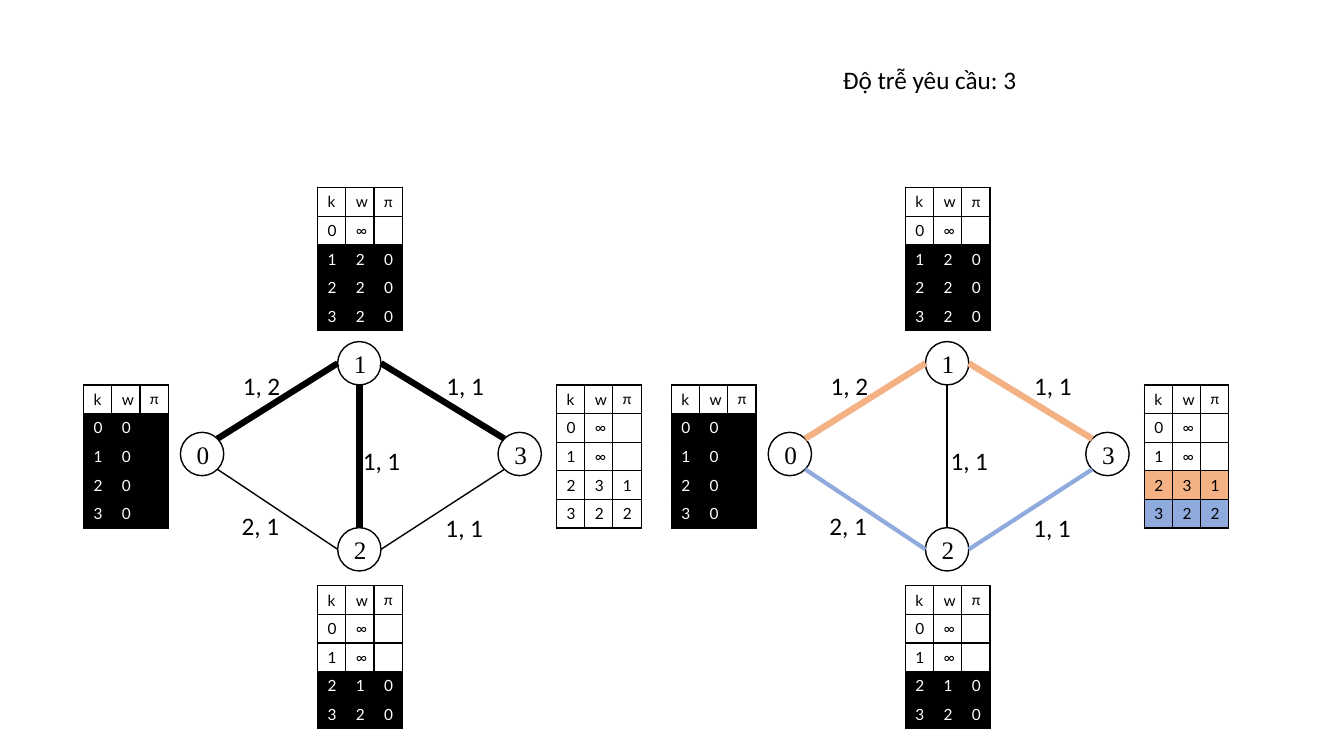
"""Draw two routing graphs with a delay table beside each node."""
import math

import lxml.etree
import pptx
import pptx.dml.color
import pptx.enum.shapes
import pptx.enum.text
import pptx.oxml.ns
import pptx.util

COL, ROW = 0.28, 0.284
SHIFT = 20.82
NODE = 0.43
BLACK, WHITE, PEACH, BLUE = "000000", "FFFFFF", "F4B183", "8FAADC"
NODES = [(7.16, 15.86), (12.73, 12.69), (12.73, 19.19), (18.41, 15.86)]
EDGES = [(0, -45, 1, 180), (0, 45, 2, 180), (1, 0, 3, 225),
         (2, 0, 3, 135), (1, 90, 2, 270)]
LABELS = [("1, 2", 8.25, 12.75), ("1, 1", 12.5, 15.39), ("1, 1", 15.43, 17.71),
          ("2, 1", 8.21, 17.64), ("1, 1", 15.46, 12.75)]
TABLES = [
    (2.96, 13.45, ["00 ", "10 ", "20 ", "30 "], [BLACK] * 4),
    (11.25, 6.55, ["0∞ ", "120", "220", "320"], [None] + [BLACK] * 3),
    (11.25, 20.46, ["0∞ ", "1∞ ", "210", "320"], [None] * 2 + [BLACK] * 2),
    (19.71, 13.45, ["0∞ ", "1∞ ", "231", "322"], None),
]


def tint(code):
    """Turn a hex string into a colour."""
    return pptx.dml.color.RGBColor.from_string(code)


def place(col, row):
    """Turn a grid point into slide lengths."""
    return pptx.util.Inches(col * COL), pptx.util.Inches(row * ROW)


def style(para, size, face, code=BLACK):
    """Set the font of a paragraph."""
    font = para.font
    font.size, font.name = pptx.util.Pt(size), face
    font.color.rgb = tint(code)


def write(frame, text):
    """Put an unwrapped line of text in a frame."""
    frame.text = text
    frame.word_wrap = False
    frame.auto_size = pptx.enum.text.MSO_AUTO_SIZE.SHAPE_TO_FIT_TEXT
    frame.vertical_anchor = pptx.enum.text.MSO_ANCHOR.TOP
    frame.paragraphs[0].alignment = pptx.enum.text.PP_ALIGN.LEFT
    style(frame.paragraphs[0], 18, "Calibri")


def head(slide, text):
    """Fill and move the title."""
    title = slide.shapes.title
    title.left, title.top = place(29.5, 2.08)
    title.width, title.height = place(6.93, 1.41)
    write(title.text_frame, text)


def label(slide, text, col, row):
    """Add the label of an edge."""
    box = slide.shapes.add_textbox(*place(col, row), *place(2.07, 1.41))
    write(box.text_frame, text)


def node(slide, text, col, row):
    """Add a round node about its centre."""
    size = pptx.util.Inches(NODE)
    x, y = place(col, row)
    ring = slide.shapes.add_shape(pptx.enum.shapes.MSO_SHAPE.OVAL,
                                  x - size // 2, y - size // 2, size, size)
    ring.shadow.inherit = False
    ring.fill.solid()
    ring.fill.fore_color.rgb = tint(WHITE)
    ring.line.color.rgb = tint(BLACK)
    ring.line.width = pptx.util.Pt(1)
    frame = ring.text_frame
    frame.text = text
    frame.vertical_anchor = pptx.enum.text.MSO_ANCHOR.MIDDLE
    frame.paragraphs[0].alignment = pptx.enum.text.PP_ALIGN.CENTER
    style(frame.paragraphs[0], 18, "Times New Roman")


def rim(spot, angle, shift):
    """Find the point of a node's rim at an angle."""
    turn = math.radians(angle)
    col, row = spot
    return place(col + shift + NODE / 2 * math.cos(turn) / COL,
                 row + NODE / 2 * math.sin(turn) / ROW)


def edge(slide, start, end, code, width):
    """Add a straight edge."""
    line = slide.shapes.add_connector(
        pptx.enum.shapes.MSO_CONNECTOR.STRAIGHT, *start, *end)
    line.line.color.rgb = tint(code)
    line.line.width = pptx.util.Pt(width)
    lxml.etree.SubElement(line._element.spPr, pptx.oxml.ns.qn("a:effectLst"))


def frame(cell):
    """Draw thin black borders round a cell."""
    props = cell._tc.get_or_add_tcPr()
    for side in ("lnL", "lnR", "lnT", "lnB"):
        line = lxml.etree.SubElement(props, pptx.oxml.ns.qn("a:" + side), w="12700")
        fill = lxml.etree.SubElement(line, pptx.oxml.ns.qn("a:solidFill"))
        lxml.etree.SubElement(fill, pptx.oxml.ns.qn("a:srgbClr"), val=BLACK)


def paint(cell, mark, code):
    """Fill a cell and write its mark."""
    frame(cell)
    if code:
        cell.fill.solid()
        cell.fill.fore_color.rgb = tint(code)
    else:
        cell.fill.background()
    cell.text = mark.strip()
    para = cell.text_frame.paragraphs[0]
    style(para, 11, "Calibri" if mark == "π" else "Lato",
          WHITE if code == BLACK else BLACK)
    if not cell.text:
        lxml.etree.SubElement(para._p, pptx.oxml.ns.qn("a:endParaRPr"), sz="1100")


def grid(slide, col, row, lines, fills):
    """Add the delay table of a node."""
    lines, fills = ["kwπ"] + lines, [None] + fills
    table = slide.shapes.add_table(len(lines), 3, *place(col, row),
                                   *place(3, len(lines))).table
    table.first_row = table.horz_banding = False
    for r, (line, code) in enumerate(zip(lines, fills)):
        for c, mark in enumerate(line):
            paint(table.cell(r, c), mark, code)


def graph(slide, shift, pens, last):
    """Add one graph with its labels and tables."""
    for name, (col, row) in enumerate(NODES):
        node(slide, str(name), col + shift, row)
    for (a, out, b, into), pen in zip(EDGES, pens):
        edge(slide, rim(NODES[a], out, shift), rim(NODES[b], into, shift), *pen)
    for text, col, row in LABELS:
        label(slide, text, col + shift, row)
    for col, row, lines, fills in TABLES:
        grid(slide, col + shift, row, lines, fills or last)


def main():
    """Build and save the slide."""
    deck = pptx.Presentation()
    deck.slide_width = pptx.util.Inches(13.33)
    deck.slide_height = pptx.util.Inches(7.5)
    slide = deck.slides.add_slide(deck.slide_layouts[5])
    head(slide, "Độ trễ yêu cầu: 3")
    bold, thin = (BLACK, 4.5), (BLACK, 1)
    warm, cool = (PEACH, 4.5), (BLUE, 3)
    graph(slide, SHIFT, [warm, cool, warm, cool, (BLACK, 1.5)],
          [None, None, PEACH, BLUE])
    graph(slide, 0, [bold, thin, bold, thin, bold], [None] * 4)
    deck.save("out.pptx")


if __name__ == "__main__":
    main()
